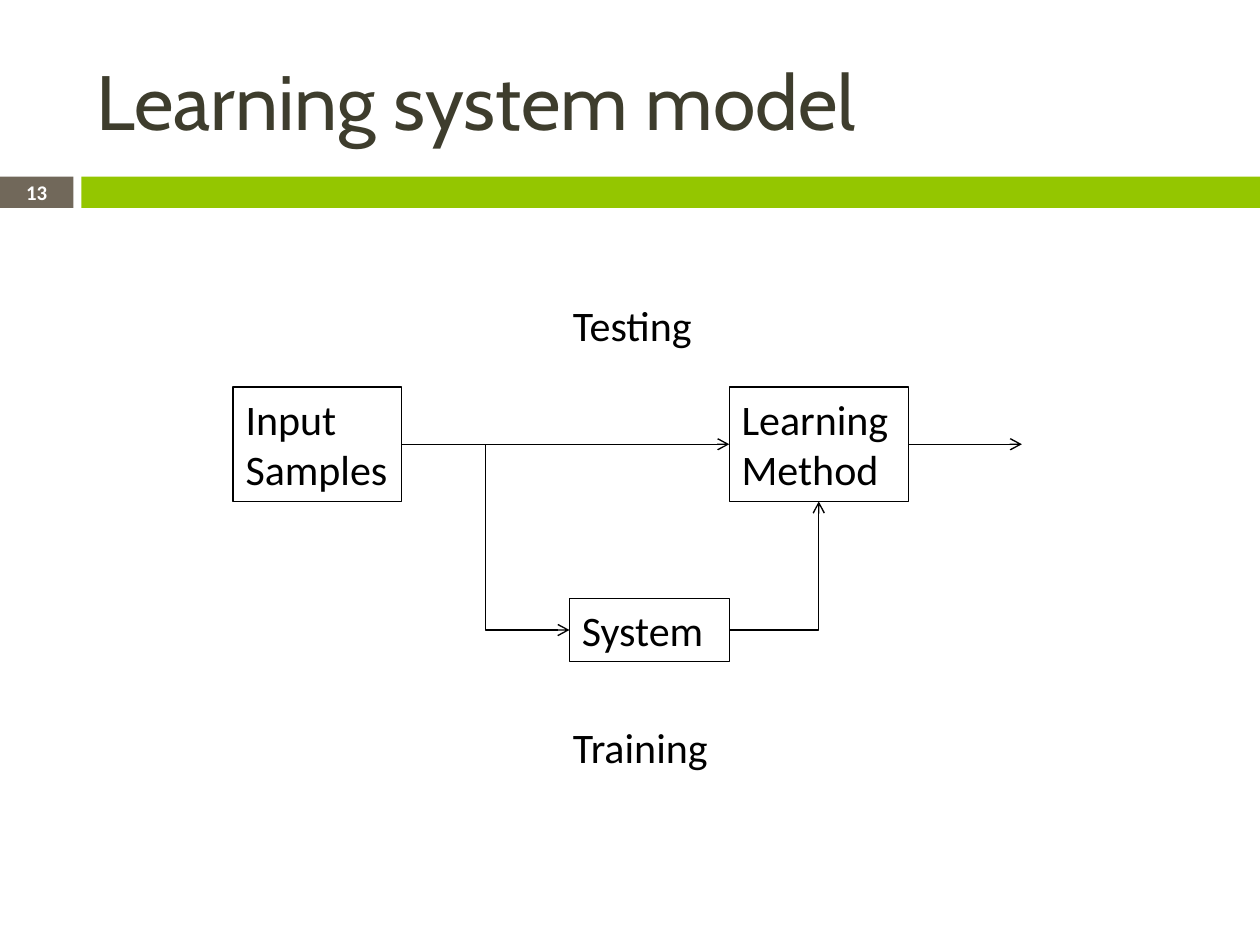
from lxml.etree import SubElement
from pptx import Presentation
from pptx.dml.color import RGBColor
from pptx.enum.shapes import MSO_CONNECTOR, MSO_SHAPE
from pptx.enum.text import MSO_ANCHOR, MSO_AUTO_SIZE, PP_ALIGN
from pptx.oxml.ns import qn
from pptx.util import Cm, Pt

BLACK = RGBColor(0x00, 0x00, 0x00)
WHITE = RGBColor(0xFF, 0xFF, 0xFF)
GREEN = RGBColor(0x94, 0xC6, 0x00)
BROWN = RGBColor(0x71, 0x68, 0x5A)
OLIVE = RGBColor(0x3E, 0x3D, 0x2D)

TOP, BOTTOM, LEFT, RIGHT = 0, 2, 1, 3


def write(frame, text, size=24, font="Calibri", color=BLACK, bold=False,
          align=PP_ALIGN.LEFT, anchor=MSO_ANCHOR.TOP):
    frame.word_wrap = True
    frame.auto_size = MSO_AUTO_SIZE.NONE
    frame.vertical_anchor = anchor
    paragraph = frame.paragraphs[0]
    paragraph.alignment = align
    run = paragraph.add_run()
    run.text = text
    run.font.size = Pt(size)
    run.font.name = font
    run.font.bold = bold
    run.font.color.rgb = color


class DiagramSlide:
    """Holds the slide and the style of its diagram."""

    box_line = Pt(0.75)
    arrow_line = Pt(0.79)

    def __init__(self, slide):
        self.slide = slide

    def title(self, text, left, top, width, height):
        title = self.slide.shapes.title
        title.left, title.top = Cm(left), Cm(top)
        title.width, title.height = Cm(width), Cm(height)
        write(title.text_frame, text, size=44, font="Cabin", color=OLIVE,
              anchor=MSO_ANCHOR.MIDDLE)

    def bar(self, left, top, width, height, fill):
        bar = self.slide.shapes.add_shape(
            MSO_SHAPE.RECTANGLE, Cm(left), Cm(top), Cm(width), Cm(height))
        bar.shadow.inherit = False
        bar.fill.solid()
        bar.fill.fore_color.rgb = fill
        bar.line.fill.background()
        return bar

    def box(self, text, left, top, width, height):
        box = self.bar(left, top, width, height, WHITE)
        box.line.color.rgb = BLACK
        box.line.width = self.box_line
        write(box.text_frame, text)
        return box

    def label(self, text, left, top, width, height, **text_format):
        label = self.slide.shapes.add_textbox(
            Cm(left), Cm(top), Cm(width), Cm(height))
        write(label.text_frame, text, **text_format)

    def arrow(self, start, end, source=None, target=None,
              kind=MSO_CONNECTOR.STRAIGHT, preset=None):
        """Draw an arrow; source and target are (shape, side) pairs."""
        arrow = self.slide.shapes.add_connector(
            kind, *(Cm(value) for value in (*start, *end)))
        if source:
            arrow.begin_connect(*source)
        if target:
            arrow.end_connect(*target)
        arrow.line.color.rgb = BLACK
        arrow.line.width = self.arrow_line
        properties = arrow._element.spPr
        if preset:
            properties.find(qn("a:prstGeom")).set("prst", preset)
        SubElement(properties.find(qn("a:ln")), qn("a:tailEnd"), type="arrow")
        SubElement(properties, qn("a:effectLst"))


def main():
    presentation = Presentation()
    presentation.slide_width, presentation.slide_height = Cm(25.4), Cm(19.05)
    title_only = presentation.slide_layouts[5]
    page = DiagramSlide(presentation.slides.add_slide(title_only))

    # Header band with page number and title
    page.bar(0, 3.56, 1.48, 0.63, BROWN)
    page.bar(1.64, 3.56, 23.76, 0.63, GREEN)
    page.label("13", 0, 3.53, 1.48, 0.69, size=11.9, color=WHITE, bold=True,
               align=PP_ALIGN.CENTER, anchor=MSO_ANCHOR.MIDDLE)
    page.title("Learning system model", 1.69, 0.64, 22.66, 2.74)

    # Stages of the model
    stage_top, stage_height = 7.8, 2.31
    samples = page.box("Input Samples", 4.7, stage_top, 3.4, stage_height)
    method = page.box("Learning Method", 14.7, stage_top, 3.61, stage_height)
    system = page.box("System", 11.48, 12.06, 3.23, 1.28)

    # Flow between the stages
    flow_y = stage_top + stage_height / 2
    system_y = 12.7
    page.arrow((8.1, flow_y), (11.48, system_y), (samples, RIGHT),
               (system, LEFT), kind=MSO_CONNECTOR.ELBOW)
    page.arrow((9.5, flow_y), (14.7, flow_y), target=(method, LEFT))
    page.arrow((18.31, flow_y), (20.6, flow_y), source=(method, RIGHT))
    page.arrow((14.71, system_y), (16.5, 10.11), (system, RIGHT),
               (method, BOTTOM), kind=MSO_CONNECTOR.ELBOW,
               preset="bentConnector2")

    # Phase names
    for phase, top in (("Training", 14.43), ("Testing", 5.92)):
        page.label(phase, 11.3, top, 3.58, 1.28)

    presentation.save("out.pptx")


if __name__ == "__main__":
    main()
